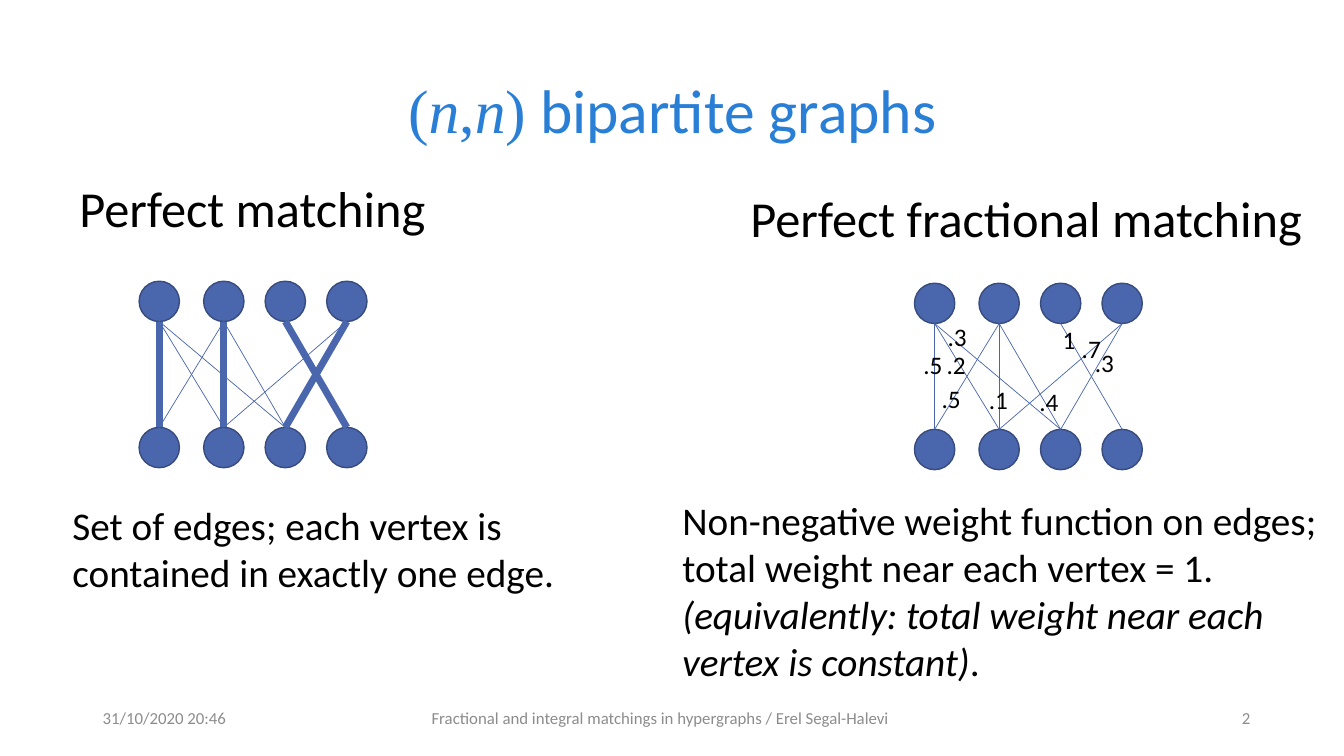
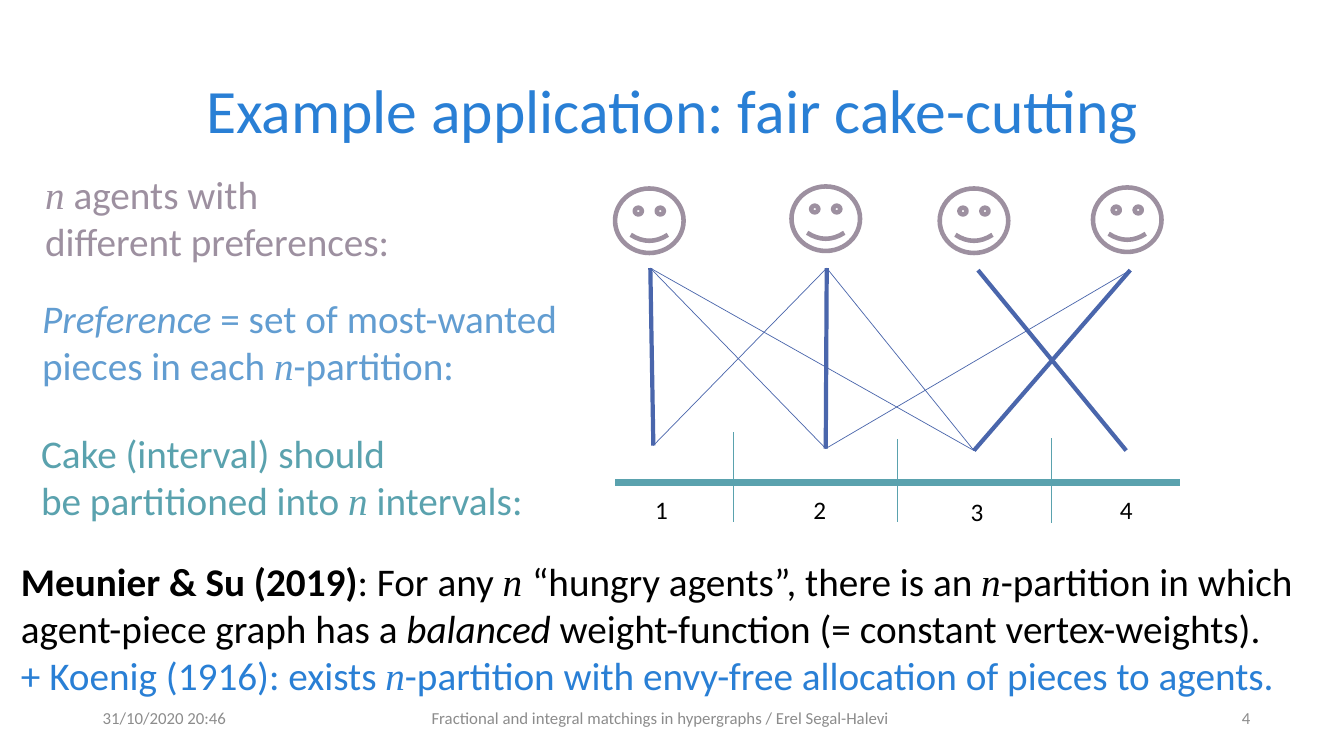
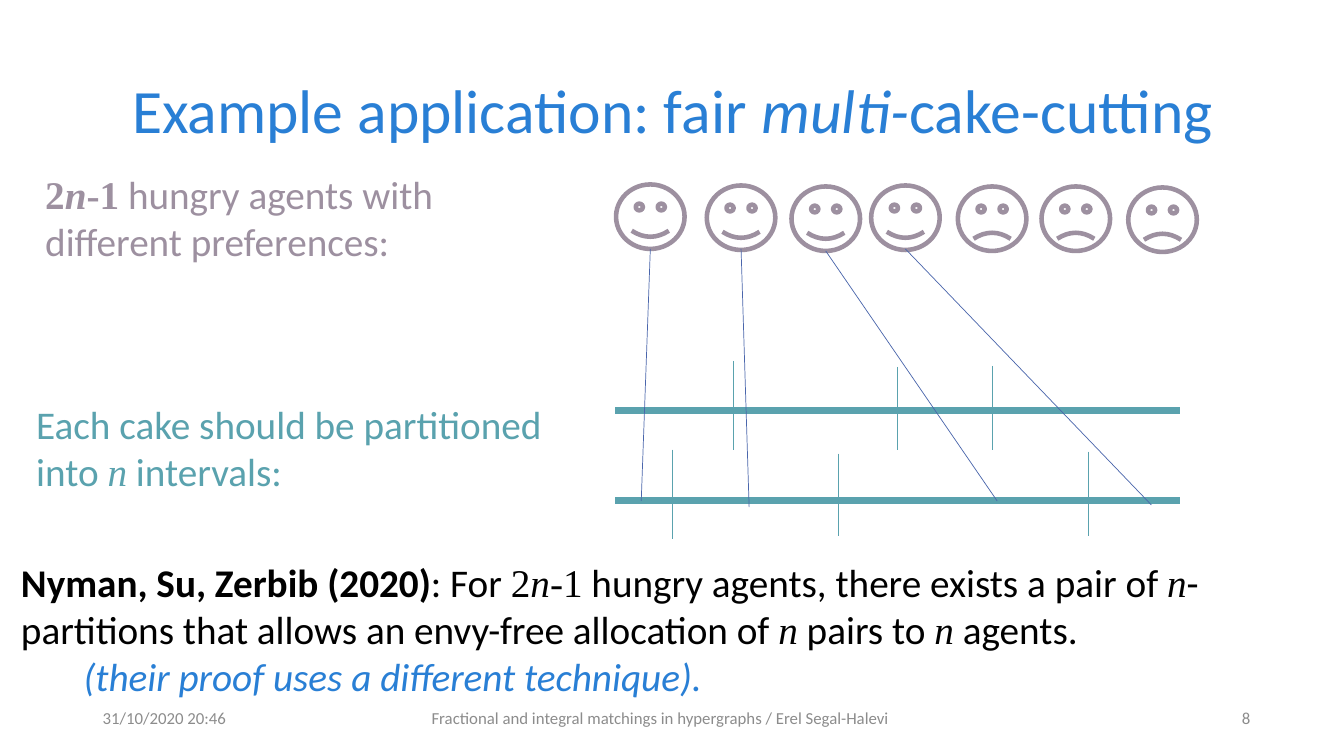
from pptx import Presentation
from pptx.dml.color import RGBColor
from pptx.enum.shapes import MSO_CONNECTOR, MSO_SHAPE
from pptx.enum.text import MSO_ANCHOR, MSO_AUTO_SIZE, PP_ALIGN
from pptx.oxml import parse_xml
from pptx.oxml.ns import nsdecls
from pptx.util import Inches, Pt

LEFT, MID, RIGHT = PP_ALIGN.LEFT, PP_ALIGN.CENTER, PP_ALIGN.RIGHT
TOP, MIDDLE = MSO_ANCHOR.TOP, MSO_ANCHOR.MIDDLE
FIT, FIXED = MSO_AUTO_SIZE.SHAPE_TO_FIT_TEXT, MSO_AUTO_SIZE.NONE
LINE, DISC, FACE = MSO_CONNECTOR.STRAIGHT, MSO_SHAPE.OVAL, MSO_SHAPE.SMILEY_FACE

THEME = {
    "ink": {name: RGBColor.from_string(code) for name, code in {
        "title": "297FD5", "foot": "8C8C8C", "text": "000000", "edge": "4A66AC",
        "rim": "374B7F", "cake": "5AA2AE", "agent": "9D90A0", "wish": "629DD1"}.items()},
    "size": {"title": 44, "head": 36, "body": 28, "label": 18, "foot": 12},
    "width": {"thin": 0.5, "rim": 1, "match": 3, "face": 3.25, "bold": 5},
}
INK, SIZE, WIDTH = THEME["ink"], THEME["size"], THEME["width"]

# Run styles: b bold, i italic, m upright maths, v maths variable
BODY, MATHS = "Calibri", "Times New Roman"
FORMS = {
    "": {"name": BODY},
    "b": {"name": BODY, "bold": True},
    "i": {"name": BODY, "italic": True},
    "m": {"name": MATHS},
    "v": {"name": MATHS, "italic": True},
    "bm": {"name": MATHS, "bold": True},
    "bv": {"name": MATHS, "bold": True, "italic": True},
}
N = ("n", "v")

# The grid has one-inch columns and rows
COLS, ROWS = 13.33, 7.5
deck = Presentation()
deck.slide_width, deck.slide_height = Inches(COLS), Inches(ROWS)


def write(slide, box, size, *paras, align=LEFT, **frame):
    """Add a text box; each paragraph is an ink name followed by its runs."""
    text = slide.shapes.add_textbox(*map(Inches, box)).text_frame
    frame = {"word_wrap": True, "auto_size": FIT, "vertical_anchor": TOP, **frame}
    for key, value in frame.items():
        setattr(text, key, value)
    for i, (ink, *runs) in enumerate(paras):
        para = text.add_paragraph() if i else text.paragraphs[0]
        para.alignment = align
        for part in runs:
            words, form = (part, "") if isinstance(part, str) else part
            for j, piece in enumerate(words.split("\n")):
                if j:
                    para.add_line_break()
                run = para.add_run()
                run.text = piece
                for key, value in {"size": Pt(SIZE[size]), **FORMS[form]}.items():
                    setattr(run.font, key, value)
                run.font.color.rgb = INK[ink]
    return text


def draw(slide, start, end, ink="edge", width="thin"):
    """Draw a straight line between two grid points."""
    line = slide.shapes.add_connector(LINE, *map(Inches, (*start, *end)))
    line.line.color.rgb = INK[ink]
    line.line.width = Pt(WIDTH[width])
    line._element.spPr.append(parse_xml(f"<a:effectLst {nsdecls('a')}/>"))


# Titles and footers
titles = {
    2: [("(", "m"), N, (",", "m"), N, (")", "m"), " bipartite graphs"],
    4: ["Example application: fair cake-cutting"],
    8: ["Example application: fair ", ("multi-", "i"), "cake-cutting"],
}
slides = []
for number, title in titles.items():
    slide = deck.slides.add_slide(deck.slide_layouts[6])
    head = write(slide, (0.92, 0.4, 11.5, 1.45), "title", ("title", *title),
                 align=MID, auto_size=FIXED, vertical_anchor=MIDDLE)
    head.paragraphs[0].line_spacing = 0.9
    for left, wide, words, side in [
            (0.92, 3, "31/10/2020 20:46", LEFT),
            (4.07, 4.96, "Fractional and integral matchings in hypergraphs / Erel Segal-Halevi", MID),
            (9.5, 3, str(number), RIGHT)]:
        write(slide, (left, 6.92, wide, 0.4), "foot", ("foot", words),
              align=side, auto_size=FIXED, vertical_anchor=MIDDLE)
    slides.append(slide)
graphs, cake, multi = slides

# Edges join an upper vertex to a lower one; matched edges are heavy
EDGES = [(0, 0), (0, 1), (0, 2), (1, 0), (1, 1), (1, 2), (2, 3), (3, 2), (3, 1)]
MATCH = {(0, 0), (1, 1), (2, 3), (3, 2)}

# Slide 1: two bipartite graphs
DOT, DROP = 0.4, 1.45
STEPS = [0, 0.64, 1.25, 1.86]
for left, top, heavy in [(1.38, 2.79, MATCH), (9.07, 2.81, set())]:
    for row in (top, top + DROP):
        for step in STEPS:
            dot = graphs.shapes.add_shape(DISC, *map(Inches, (left + step, row, DOT, DOT)))
            dot.shadow.inherit = False
            dot.fill.solid()
            dot.fill.fore_color.rgb = INK["edge"]
            dot.line.color.rgb = INK["rim"]
            dot.line.width = Pt(WIDTH["rim"])
    mids = [left + step + DOT / 2 for step in STEPS]
    for edge in EDGES:
        up, down = edge
        draw(graphs, (mids[up], top + DOT), (mids[down], top + DROP),
             width="bold" if edge in heavy else "thin")

for box, words in [((0.42, 1.71, 4.17, 0.71), "Perfect matching"),
                   ((7.23, 1.81, 5.9, 0.71), "Perfect fractional matching")]:
    write(graphs, box, "head", ("text", words), align=MID)
write(graphs, (0.62, 4.92, 5.24, 1.04), "body",
      ("text", "Set of edges; each vertex is contained in exactly one edge."))
write(graphs, (6.67, 4.87, 6.54, 1.99), "body",
      ("text", "Non-negative weight function on edges; total weight near each vertex = 1. ",
       ("(equivalently: total weight near each vertex is constant)", "i"), "."))
for left, top, weight in [
        (9.06, 3.42, ".5"), (9.3, 3.14, ".3"), (9.29, 3.42, ".2"),
        (10.44, 3.17, "1"), (9.24, 3.75, ".5"), (10.76, 3.4, ".3"),
        (9.71, 3.76, ".1"), (10.63, 3.26, ".7"), (10.21, 3.78, ".4")]:
    write(graphs, (left, top, 0.4, 0.4), "label", ("text", weight))

# Slides 2 and 3: agents, cakes and cuts
SMILE = 0.047
agents = [
    (cake, SMILE, [(6.1, 1.87), (7.85, 1.85), (9.32, 1.87), (10.84, 1.86)]),
    (multi, SMILE, [(6.11, 1.83), (7.01, 1.84), (7.85, 1.85), (8.64, 1.84)]),
    (multi, -SMILE, [(9.5, 1.85), (10.33, 1.85), (11.19, 1.86)]),
]
for slide, mood, spots in agents:
    for spot in spots:
        face = slide.shapes.add_shape(FACE, *map(Inches, (*spot, 0.68, 0.64)))
        face.shadow.inherit = False
        face.adjustments[0] = mood
        face.fill.background()
        face.line.color.rgb = INK["agent"]
        face.line.width = Pt(WIDTH["face"])

cakes = [
    (cake, 4.79, [(7.27, 4.29, 5.18), (8.9, 4.36, 5.18), (10.43, 4.35, 5.19)]),
    (multi, 4.07, [(7.27, 3.58, 4.46), (8.9, 3.64, 4.46), (9.84, 3.63, 4.46)]),
    (multi, 4.97, [(6.67, 4.46, 5.35), (8.32, 4.5, 5.32), (10.79, 4.48, 5.32)]),
]
for slide, level, cuts in cakes:
    draw(slide, (6.1, level), (11.7, level), "cake", "bold")
    for x, top, base in cuts:
        draw(slide, (x, top), (x, base), "cake")

# Slide 2: preference graph
uppers = [(6.45, 2.66), (8.2, 2.66), (9.7, 2.68), (11.21, 2.68)]
lowers = [(6.48, 4.42), (8.19, 4.45), (9.66, 4.47), (11.17, 4.47)]
for edge in EDGES:
    up, down = edge
    draw(cake, uppers[up], lowers[down], width="match" if edge in MATCH else "thin")
for piece, (left, top) in enumerate([(6.4, 4.85), (7.97, 4.85), (9.53, 4.87), (11.01, 4.85)], 1):
    write(cake, (left, top, 0.33, 0.4), "label", ("text", str(piece)), word_wrap=False)

# Slide 3: allocation
for start, end in [((6.45, 2.47), (6.36, 4.97)), ((7.35, 2.47), (7.43, 5.03)),
                   ((8.19, 2.49), (9.89, 4.97)), ((8.98, 2.47), (11.42, 5.01))]:
    draw(multi, start, end)

# Side notes
for slide, box, para in [
        (cake, (0.35, 1.64, 3.66, 1.04),
         ("agent", N, " agents with\ndifferent preferences:")),
        (cake, (0.32, 2.87, 5.35, 1.04),
         ("wish", ("Preference ", "i"), "= set of most-wanted\npieces in each ", N, "-partition:")),
        (cake, (0.31, 4.21, 5.04, 1.04),
         ("cake", "Cake (interval) should\nbe partitioned into ", N, " intervals:")),
        (multi, (0.35, 1.64, 4.18, 1.04),
         ("agent", ("2", "bm"), ("n", "bv"), ("-1", "bm"),
          " hungry agents with\ndifferent preferences:")),
        (multi, (0.26, 3.92, 5.28, 1.04),
         ("cake", "Each cake should be partitioned\ninto ", N, " intervals:"))]:
    write(slide, box, "body", para, word_wrap=False)

# Theorems
write(cake, (0.11, 5.48, 13.12, 1.51), "body",
      ("text", ("Meunier & Su (2019)", "b"), ": For any ", ("n ", "v"),
       "“hungry agents”, there is an ", N, "-partition in which\nagent-piece graph has a ",
       ("balanced", "i"), " weight-function (= constant vertex-weights)."),
      ("title", "+ Koenig (1916): exists ", N,
       "-partition with envy-free allocation of pieces to agents."))
proof = write(multi, (0.11, 5.49, 13.12, 1.51), "body",
              ("text", ("Nyman, Su, Zerbib (2020)", "b"), ": For ", ("2", "m"), N, ("-1", "m"),
               " hungry agents, there exists a pair of ", N,
               "-partitions that allows an envy-free allocation of ", N,
               " pairs to ", N, " agents."),
              ("title", ("(their proof uses a different technique).", "i")))
proof.paragraphs[1]._p.get_or_add_pPr().set("marL", str(Inches(0.62)))

deck.save("out.pptx")
